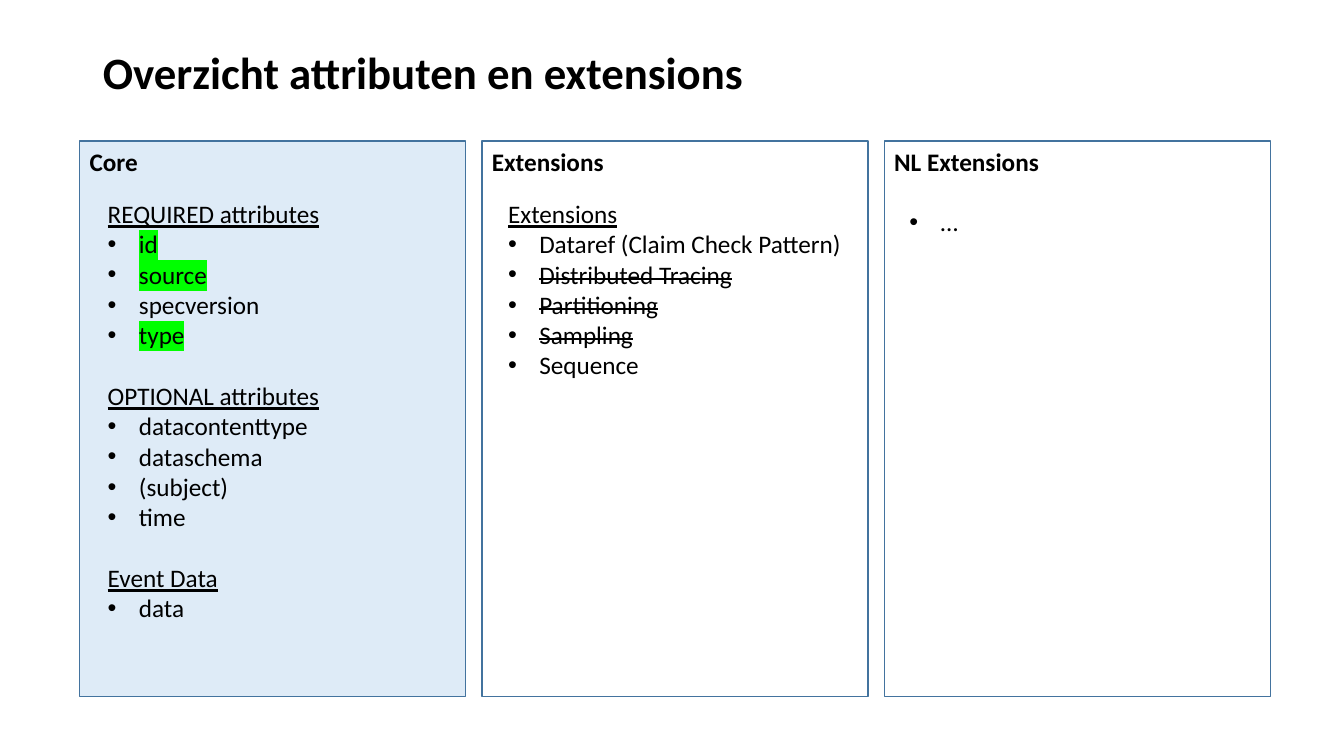
import pptx
import pptx.dml.color
import pptx.enum.shapes
import pptx.enum.text
import pptx.oxml
import pptx.oxml.ns
import pptx.util
from pptx.util import Inches

COLOURS = {"text": "000000", "core": "DEEBF7", "plain": "FFFFFF",
           "border": "43739E", "marked": "00FF00"}
FONT = "Calibri"
PANEL_TOP, PANEL_WIDTH, PANEL_HEIGHT = 1.4, 3.83, 5.51
FIRST_LEFT, PANEL_PITCH = 0.79, 3.99
INDENT = 0.31

PANELS = [
    {"name": "Core", "fill": "core", "list_box": (0.18, 0.52, 2.33, 4.34), "groups": [
        ("REQUIRED attributes",
         [("id", "marked"), ("source", "marked"), ("specversion", ""), ("type", "marked")]),
        ("OPTIONAL attributes",
         [("datacontenttype", ""), ("dataschema", ""), ("(subject)", ""), ("time", "")]),
        ("Event Data", [("data", "")]),
    ]},
    {"name": "Extensions", "fill": "plain", "list_box": (0.16, 0.52, 3.55, 2.52), "groups": [
        ("Extensions",
         [("Dataref (Claim Check Pattern)", ""), ("Distributed Tracing", "struck"),
          ("Partitioning", "struck"), ("Sampling", "struck"), ("Sequence", "")]),
    ]},
    {"name": "NL Extensions", "fill": "plain", "list_box": (0.15, 0.6, 0.69, 1.01), "groups": [
        ("", [("…", "")]),
    ]},
]


def colour(key):
    """Return the palette colour for a key."""
    return pptx.dml.color.RGBColor.from_string(COLOURS[key])


def write(paragraph, text, size=18, **formats):
    """Add a formatted run to a left-aligned paragraph."""
    paragraph.alignment = pptx.enum.text.PP_ALIGN.LEFT
    run = paragraph.add_run()
    run.text = text
    run.font.color.rgb = colour("text")
    for attribute, value in {"name": FONT, "size": pptx.util.Pt(size), **formats}.items():
        setattr(run.font, attribute, value)
    return run


def add_bullet(paragraph):
    """Give a paragraph a hanging round bullet."""
    properties = paragraph._p.get_or_add_pPr()
    properties.set("marL", str(Inches(INDENT)))
    properties.set("indent", str(-Inches(INDENT)))
    namespace = pptx.oxml.ns.nsdecls("a")
    for xml in (f'<a:buFont {namespace} typeface="Arial"/>', f'<a:buChar {namespace} char="•"/>'):
        properties.append(pptx.oxml.parse_xml(xml))


def apply_status(run, status):
    """Highlight a marked attribute or strike out a dropped one."""
    properties = run._r.get_or_add_rPr()
    if status == "struck":
        properties.set("strike", "sngStrike")
    elif status == "marked":
        highlight = pptx.oxml.parse_xml(
            f'<a:highlight {pptx.oxml.ns.nsdecls("a")}>'
            f'<a:srgbClr val="{COLOURS["marked"]}"/></a:highlight>')
        properties.find(pptx.oxml.ns.qn("a:latin")).addprevious(highlight)


def add_title(slide, left, top, width, height):
    """Place the slide title."""
    title = slide.shapes.title
    box = {"left": left, "top": top, "width": width, "height": height}
    for attribute, value in box.items():
        setattr(title, attribute, Inches(value))
    frame = title.text_frame
    frame.auto_size = pptx.enum.text.MSO_AUTO_SIZE.NONE
    frame.vertical_anchor = pptx.enum.text.MSO_ANCHOR.MIDDLE
    frame.paragraphs[0].line_spacing = 0.9
    write(frame.paragraphs[0], "Overzicht attributen en extensions", size=32, bold=True)


def add_attributes(slide, groups, left, top, width, height):
    """Write groups of attributes, each under its underlined heading."""
    attributes = slide.shapes.add_textbox(*map(Inches, (left, top, width, height)))
    frame = attributes.text_frame
    frame.word_wrap = False
    frame.auto_size = pptx.enum.text.MSO_AUTO_SIZE.SHAPE_TO_FIT_TEXT
    lines = [line for heading, items in groups
             for line in [(heading, "heading"), *items] if line[0]]
    for index, (text, status) in enumerate(lines):
        paragraph = frame.add_paragraph() if index else frame.paragraphs[0]
        if status == "heading":
            if index:
                paragraph.space_before = pptx.util.Pt(22)
            write(paragraph, text, underline=True)
        else:
            add_bullet(paragraph)
            apply_status(write(paragraph, text), status)


def add_panel(slide, panel, left, top, width, height):
    """Draw a named panel with its attribute list."""
    frame_box = slide.shapes.add_shape(
        pptx.enum.shapes.MSO_SHAPE.RECTANGLE, *map(Inches, (left, top, width, height)))
    frame_box.shadow.inherit = False
    frame_box.fill.solid()
    frame_box.fill.fore_color.rgb = colour(panel["fill"])
    frame_box.line.color.rgb = colour("border")
    frame_box.line.width = pptx.util.Pt(1)
    frame_box.text_frame.vertical_anchor = pptx.enum.text.MSO_ANCHOR.TOP
    write(frame_box.text_frame.paragraphs[0], panel["name"], bold=True)
    list_left, list_top, list_width, list_height = panel["list_box"]
    add_attributes(slide, panel["groups"], left + list_left, top + list_top,
                   list_width, list_height)


def main():
    """Build and save the overview slide."""
    presentation = pptx.Presentation()
    presentation.slide_width = Inches(13.33)
    presentation.slide_height = Inches(7.5)
    slide = presentation.slides.add_slide(presentation.slide_layouts.get_by_name("Title Only"))
    add_title(slide, 0.92, 0.4, 11.5, 0.69)
    for column, panel in enumerate(PANELS):
        add_panel(slide, panel, FIRST_LEFT + column * PANEL_PITCH,
                  PANEL_TOP, PANEL_WIDTH, PANEL_HEIGHT)
    presentation.save("out.pptx")


if __name__ == "__main__":
    main()
